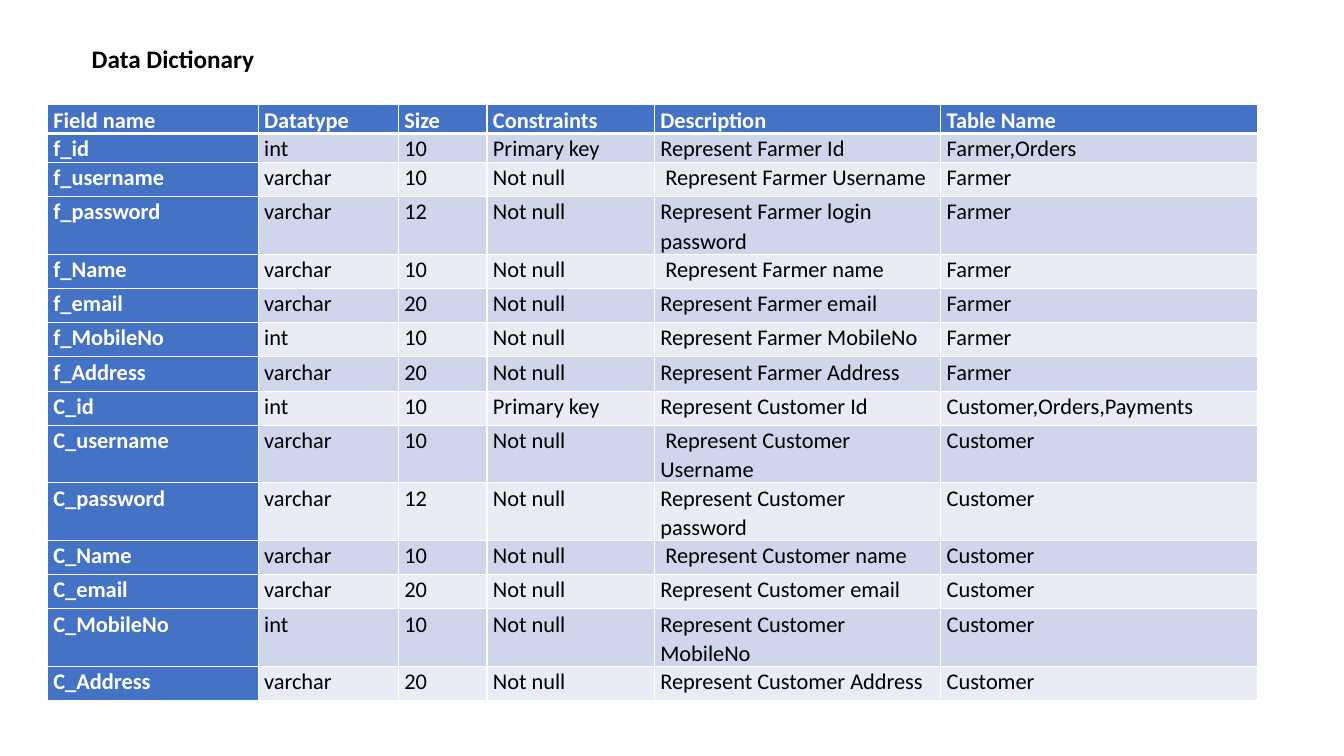
from lxml import etree
from pptx import Presentation
from pptx.dml.color import RGBColor
from pptx.enum import text as txt
from pptx.oxml.ns import qn
from pptx.util import Inches, Pt

BLUE, WHITE, BLACK = "4472C4", "FFFFFF", "000000"
BANDS = ("CFD5EA", "E9EBF5")
COLUMN_WIDTHS = (2.09, 1.39, 0.88, 1.66, 2.84, 3.14)
COMPACT_ROW, FIELD_ROW = 0.18, 0.34

HEADINGS = ("Field name", "Datatype", "Size", "Constraints", "Description", "Table Name")
FIELDS = (
    ("f_id", "int", "10", "Primary key", "Represent Farmer Id", "Farmer,Orders"),
    ("f_username", "varchar", "10", "Not null", " Represent Farmer Username", "Farmer"),
    ("f_password", "varchar", "12", "Not null", "Represent Farmer login password", "Farmer"),
    ("f_Name", "varchar", "10", "Not null", " Represent Farmer name", "Farmer"),
    ("f_email", "varchar", "20", "Not null", "Represent Farmer email", "Farmer"),
    ("f_MobileNo", "int", "10", "Not null", "Represent Farmer MobileNo", "Farmer"),
    ("f_Address", "varchar", "20", "Not null", "Represent Farmer Address", "Farmer"),
    ("C_id", "int", "10", "Primary key", "Represent Customer Id", "Customer,Orders,Payments"),
    ("C_username", "varchar", "10", "Not null", " Represent Customer Username", "Customer"),
    ("C_password", "varchar", "12", "Not null", "Represent Customer password", "Customer"),
    ("C_Name", "varchar", "10", "Not null", " Represent Customer name", "Customer"),
    ("C_email", "varchar", "20", "Not null", "Represent Customer email", "Customer"),
    ("C_MobileNo", "int", "10", "Not null", "Represent Customer MobileNo", "Customer"),
    ("C_Address", "varchar", "20", "Not null", "Represent Customer Address", "Customer"),
)


def rgb(hex_color):
    return RGBColor.from_string(hex_color)


def write(frame, content, *, size, color=BLACK, bold=False, spacing=1.0, after=0):
    paragraph = frame.paragraphs[0]
    paragraph.alignment = txt.PP_ALIGN.LEFT
    paragraph.line_spacing = spacing
    paragraph.space_before = Pt(0)
    paragraph.space_after = Pt(after)
    run = paragraph.add_run()
    run.text = content
    run.font.name = "Calibri"
    run.font.size = Pt(size)
    run.font.bold = bold
    run.font.color.rgb = rgb(color)


def set_borders(cell, top=1, bottom=1):
    """Draw white cell borders; must run before the fill is set."""
    properties = cell._tc.get_or_add_tcPr()
    for side, width in (("lnL", 1), ("lnR", 1), ("lnT", top), ("lnB", bottom)):
        line = etree.SubElement(properties, qn(f"a:{side}"), w=str(Pt(width)))
        fill = etree.SubElement(line, qn("a:solidFill"))
        etree.SubElement(fill, qn("a:srgbClr"), val=WHITE)


def add_title(slide, content):
    title = slide.shapes.title
    title.left, title.top = Inches(0.81), Inches(0.38)
    title.width, title.height = Inches(6.67), Inches(0.4)
    frame = title.text_frame
    frame.word_wrap = True
    frame.auto_size = txt.MSO_AUTO_SIZE.SHAPE_TO_FIT_TEXT
    frame.vertical_anchor = txt.MSO_ANCHOR.TOP
    write(frame, content, size=18, bold=True)


def fill_cell(cell, content, row, column):
    cell.margin_left = cell.margin_right = Inches(0.06)
    cell.margin_top = cell.margin_bottom = 0
    set_borders(cell, top=3 if row == 1 else 1, bottom=3 if row == 0 else 1)
    is_heading = row == 0 or column == 0
    cell.fill.solid()
    cell.fill.fore_color.rgb = rgb(BLUE if is_heading else BANDS[(row - 1) % 2])
    write(cell.text_frame, content, size=16, color=WHITE if is_heading else BLACK,
          bold=is_heading, spacing=1.07, after=8)


def add_dictionary(slide):
    rows = (HEADINGS,) + FIELDS
    frame = slide.shapes.add_table(len(rows), len(HEADINGS), Inches(0.47), Inches(1.04),
                                   Inches(11.99), Inches(5.83))
    table = frame.table
    table.first_col = True
    for column, width in zip(table.columns, COLUMN_WIDTHS):
        column.width = Inches(width)
    for r, values in enumerate(rows):
        table.rows[r].height = Inches(COMPACT_ROW if r < 2 else FIELD_ROW)
        for c, value in enumerate(values):
            fill_cell(table.cell(r, c), value, r, c)
    frame.height = Inches(5.83)


def main():
    deck = Presentation()
    deck.slide_width, deck.slide_height = Inches(13.33), Inches(7.5)
    slide = deck.slides.add_slide(deck.slide_layouts.get_by_name("Title Only"))
    add_title(slide, "Data Dictionary")
    add_dictionary(slide)
    deck.save("out.pptx")


if __name__ == "__main__":
    main()
